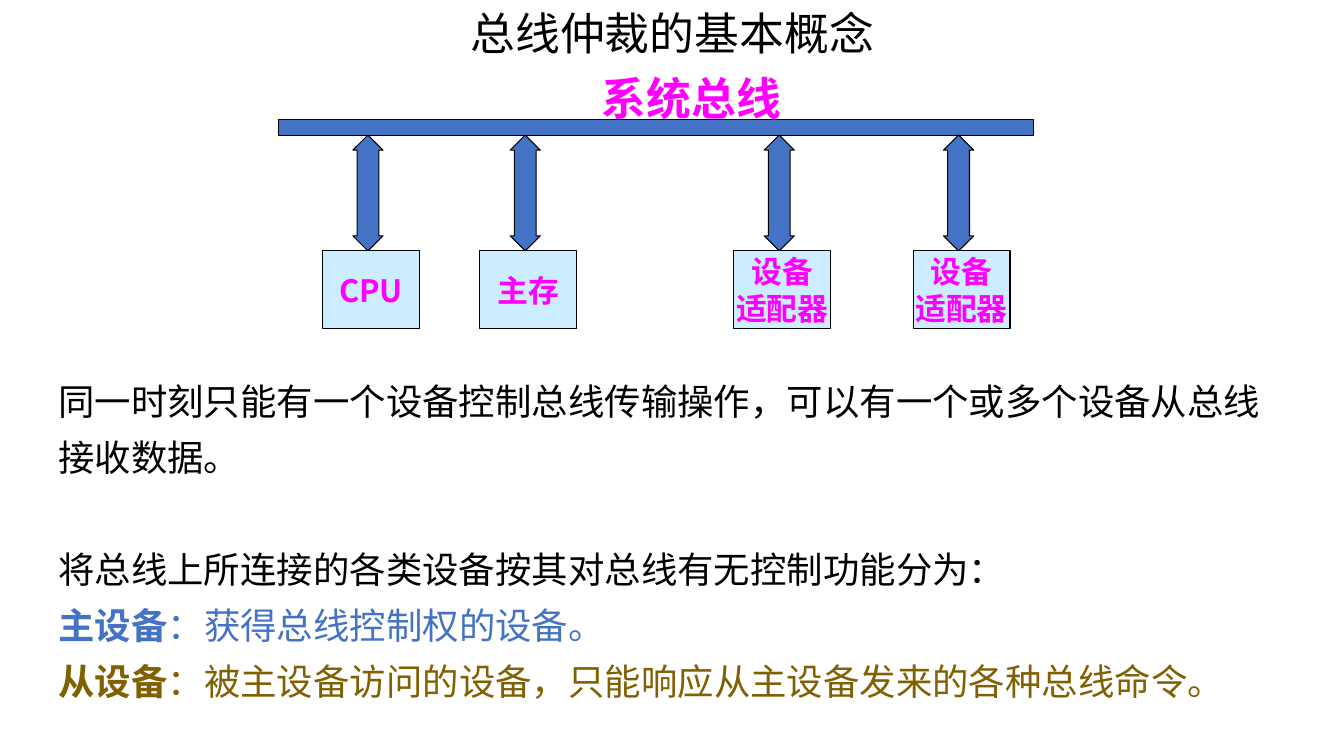
import pptx
import pptx.util
import pptx.dml.color
import pptx.enum.shapes
import pptx.enum.text
import pptx.oxml.ns
import lxml.etree

RGBColor = pptx.dml.color.RGBColor
SHAPE = pptx.enum.shapes.MSO_SHAPE
ALIGN = pptx.enum.text.PP_ALIGN
ANCHOR = pptx.enum.text.MSO_ANCHOR
Pt = pptx.util.Pt

BLACK = RGBColor(0x00, 0x00, 0x00)
BLUE = RGBColor(0x44, 0x72, 0xC4)
OLIVE = RGBColor(0x80, 0x60, 0x00)
MAGENTA = RGBColor(0xFF, 0x00, 0xFF)
PALE_BLUE = RGBColor(0xCC, 0xEC, 0xFF)

FONT = "Noto Sans CJK SC"
WIDTH = pptx.util.Inches(13.33)
HEIGHT = pptx.util.Inches(7.5)

BUS_TOP, BUS_H = 15.87, 2
ARROW_W, ARROW_H = 2.25, 15.33
UNIT_W, UNIT_H = 7.2, 10.27
ARROW_SHIFT = -0.22

UNITS = [
    (27.6, ["CPU"]),
    (39.3, ["主存"]),
    (58.2, ["设备", "适配器"]),
    (71.55, ["设备", "适配器"]),
]

BODY = [
    ("", "同一时刻只能有一个设备控制总线传输操作，可以有一个或多个设备从总线接收数据。", BLACK, 0),
    ("", "将总线上所连接的各类设备按其对总线有无控制功能分为：", BLACK, 40),
    ("主设备", "：获得总线控制权的设备。", BLUE, 0),
    ("从设备", "：被主设备访问的设备，只能响应从主设备发来的各种总线命令。", OLIVE, 0),
]


def area(left, top, width, height):
    return (int(WIDTH * left / 100), int(HEIGHT * top / 100),
            int(WIDTH * width / 100), int(HEIGHT * height / 100))


def set_font(p, size, color, bold=None):
    p.font.size = Pt(size)
    p.font.color.rgb = color
    p.font.name = FONT
    p.font.bold = bold
    ea = lxml.etree.SubElement(p.font._element, pptx.oxml.ns.qn("a:ea"))
    ea.set("typeface", FONT)


def paragraph(tf, index):
    return tf.add_paragraph() if index else tf.paragraphs[0]


def add_text_frame(s, *box):
    tf = s.shapes.add_textbox(*area(*box)).text_frame
    tf.word_wrap = True
    return tf


def add_heading(s, box, text, color, align, bold=None):
    p = add_text_frame(s, *box).paragraphs[0]
    p.text = text
    p.alignment = align
    set_font(p, 32, color, bold)


def add_body(s):
    tf = add_text_frame(s, 3.6, 47.87, 92.78, 45.47)
    for i, (term, text, color, gap) in enumerate(BODY):
        p = paragraph(tf, i)
        p.line_spacing = Pt(40)
        if gap:
            p.space_before = Pt(gap)
        if term:
            r = p.add_run()
            r.text = term
            r.font.bold = True
        p.add_run().text = text
        set_font(p, 26, color)


def add_part(s, kind, box, fill):
    sp = s.shapes.add_shape(kind, *area(*box))
    sp.shadow.inherit = False
    sp.fill.solid()
    sp.fill.fore_color.rgb = fill
    sp.line.color.rgb = BLACK
    sp.line.width = Pt(0.75)
    return sp


def add_unit(s, center, lines):
    arrow_top = BUS_TOP + BUS_H
    arrow_left = center + ARROW_SHIFT - ARROW_W / 2
    arrow = add_part(s, SHAPE.UP_DOWN_ARROW,
                     (arrow_left, arrow_top, ARROW_W, ARROW_H), BLUE)
    arrow.adjustments[0] = 0.5
    arrow.adjustments[1] = 0.72
    sp = add_part(s, SHAPE.FLOWCHART_PROCESS,
                  (center - UNIT_W / 2, arrow_top + ARROW_H, UNIT_W, UNIT_H), PALE_BLUE)
    tf = sp.text_frame
    tf.word_wrap = False
    tf.vertical_anchor = ANCHOR.MIDDLE
    tf.margin_left = tf.margin_right = tf.margin_top = tf.margin_bottom = 0
    for i, line in enumerate(lines):
        p = paragraph(tf, i)
        p.text = line
        p.alignment = ALIGN.CENTER
        set_font(p, 22, MAGENTA, True)


def main():
    prs = pptx.Presentation()
    prs.slide_width, prs.slide_height = WIDTH, HEIGHT
    s = prs.slides.add_slide(prs.slide_layouts[6])
    add_heading(s, (29.78, 0.13, 40.5, 8.53), "总线仲裁的基本概念", BLACK, ALIGN.CENTER)
    add_body(s)
    add_part(s, SHAPE.RECTANGLE, (20.7, BUS_TOP, 56.18, BUS_H), BLUE)
    for center, lines in UNITS:
        add_unit(s, center, lines)
    add_heading(s, (44.03, 8.67, 17.78, 8.4), "系统总线", MAGENTA, ALIGN.LEFT, True)
    prs.save("out.pptx")


if __name__ == "__main__":
    main()
